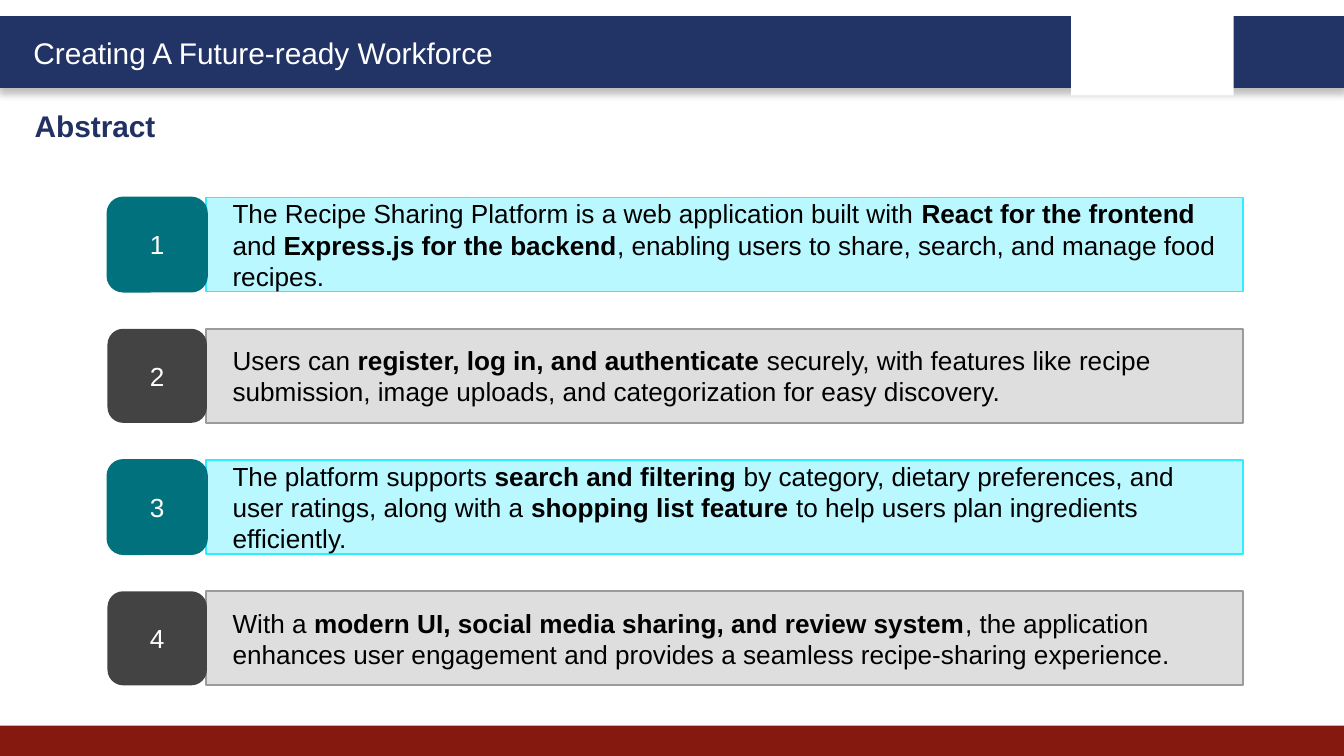
from lxml.etree import SubElement
from pptx import Presentation
from pptx.dml.color import RGBColor
from pptx.enum.shapes import MSO_SHAPE
from pptx.enum.text import MSO_ANCHOR, PP_ALIGN
from pptx.oxml.ns import qn
from pptx.util import Inches, Pt

POINTS = [
    "The Recipe Sharing Platform is a web application built with **React for the frontend** and "
    "**Express.js for the backend**, enabling users to share, search, and manage food recipes.",
    "Users can **register, log in, and authenticate** securely, with features like recipe "
    "submission, image uploads, and categorization for easy discovery.",
    "The platform supports **search and filtering** by category, dietary preferences, and user "
    "ratings, along with a **shopping list feature** to help users plan ingredients efficiently.",
    "With a **modern UI, social media sharing, and review system**, the application enhances "
    "user engagement and provides a seamless recipe-sharing experience.",
]
TEAL = {"badge": "00717D", "edge": "00717D", "panel": "BAF8FF", "border": "31EBFF"}
GRAY = {"badge": "434343", "edge": None, "panel": "DEDEDE", "border": "9B9B9B"}


def color(value):
    """Turn a hex string into a colour."""
    return RGBColor.from_string(value)


def write(shape, text, size=14, ink="000000", bold=False, align=PP_ALIGN.LEFT,
          anchor=MSO_ANCHOR.MIDDLE, indent=0.1):
    """Write one paragraph into a shape, with **marked** parts in bold."""
    frame = shape.text_frame
    frame.word_wrap = True
    frame.vertical_anchor = anchor
    frame.margin_left = Inches(indent)
    para = frame.paragraphs[0]
    para.alignment = align
    for index, part in enumerate(text.split("**")):
        span = para.add_run()
        span.text = part
        span.font.name = "Arial"
        span.font.size = Pt(size)
        span.font.bold = bold or index % 2 == 1
        span.font.color.rgb = color(ink)


def add_block(page, left, top, width, height, fill, line=None, weight=1,
              kind=MSO_SHAPE.RECTANGLE):
    """Add a flat filled shape with an optional outline."""
    block = page.shapes.add_shape(kind, Inches(left), Inches(top), Inches(width), Inches(height))
    block.shadow.inherit = False
    block.fill.solid()
    block.fill.fore_color.rgb = color(fill)
    if line:
        block.line.color.rgb = color(line)
        block.line.width = Pt(weight)
    else:
        block.line.fill.background()
    return block


def add_label(page, left, top, width, height, text, **style):
    """Add a text box with one line of text."""
    label = page.shapes.add_textbox(Inches(left), Inches(top), Inches(width), Inches(height))
    write(label, text, anchor=MSO_ANCHOR.TOP, **style)


def add_drop_shadow(shape, blur, distance, opacity):
    """Give a shape a soft black shadow straight below it."""
    effects = shape.element.spPr.find(qn("a:effectLst"))
    shadow = SubElement(effects, qn("a:outerShdw"), blurRad=str(Pt(blur)),
                        dist=str(Pt(distance)), dir="5400000", algn="t", rotWithShape="0")
    black = SubElement(shadow, qn("a:srgbClr"), val="000000")
    SubElement(black, qn("a:alpha"), val=str(opacity * 1000))


def add_header(page, left, top, width, height):
    """Draw the banner with its white panel and the tagline."""
    banner = add_block(page, left, top, width, height, "223366", "223366", 2)
    add_drop_shadow(banner, blur=4, distance=3, opacity=25)
    add_block(page, left + 7.97, top - 0.06, 1.21, 0.64, "FFFFFF")
    add_label(page, left + 0.15, top + 0.08, 3.78, 0.37, "Creating A Future-ready Workforce",
              size=16, ink="FFFFFF")


def add_point(page, left, top, width, height, number, text, theme):
    """Draw one numbered badge with its panel of text."""
    panel = add_block(page, left + 0.73, top, width - 0.73, height,
                      theme["panel"], theme["border"])
    write(panel, text, indent=0.2)
    badge = add_block(page, left, top, 0.74, height, theme["badge"], theme["edge"],
                      kind=MSO_SHAPE.ROUNDED_RECTANGLE)
    write(badge, str(number), ink="FFFFFF", align=PP_ALIGN.CENTER)


def add_points(page, left, top, width, height):
    """Stack the points evenly, in alternating themes."""
    row = 0.7
    pitch = (height - row) / (len(POINTS) - 1)
    for index, text in enumerate(POINTS):
        add_point(page, left, top + index * pitch, width, row, index + 1, text,
                  (TEAL, GRAY)[index % 2])


def main():
    """Build the slide and save it."""
    deck = Presentation()
    deck.slide_width = Inches(10)
    deck.slide_height = deck.slide_width * 9 // 16
    page = deck.slides.add_slide(deck.slide_layouts[6])
    add_header(page, 0, 0.13, 10, 0.51)
    add_block(page, 0, 5.4, 10, 0.23, "851910")
    add_label(page, 0.16, 0.75, 4.84, 0.37, "Abstract", size=16, ink="213163", bold=True)
    add_points(page, 0.8, 1.47, 8.45, 3.63)
    deck.save("out.pptx")


if __name__ == "__main__":
    main()
